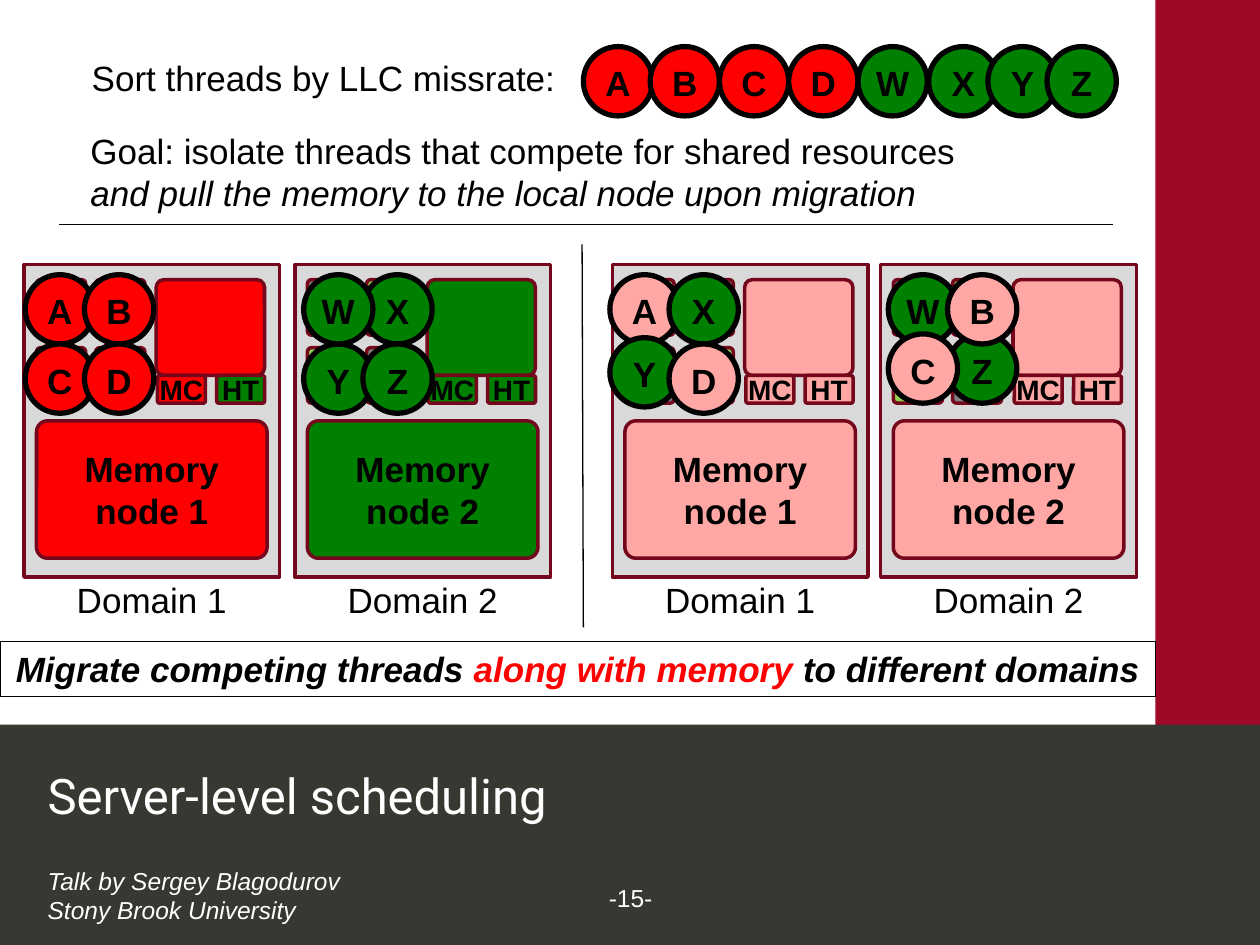
from lxml.etree import SubElement
from pptx import Presentation
from pptx.dml.color import RGBColor
from pptx.enum.shapes import MSO_CONNECTOR, MSO_SHAPE as Shape
from pptx.enum.text import MSO_ANCHOR as Anchor, PP_ALIGN as Align
from pptx.oxml.ns import qn
from pptx.util import Inches, Pt

COLORS = {
    "crimson": "9E0927", "slate": "363832", "maroon": "75071D", "panel": "D9D9D9",
    "red": "FF0000", "green": "008000", "pink": "FFA7A4", "lime": "92D050",
    "gray": "808080", "black": "000000", "white": "FFFFFF",
}
BODY = {"name": "Arial", "size": Pt(20), "color": "black"}
BOLD = {**BODY, "bold": True}
SMALL_BOLD = {**BOLD, "size": Pt(16)}
FOOTER = {"name": "Arial", "size": Pt(14), "color": "white"}
TITLE = {"name": "Roboto", "size": Pt(28), "color": "white"}
BANNER = {**BOLD, "italic": True}

SORTED_THREADS = [
    ("A", "red", 4.63), ("B", "red", 5.16), ("C", "red", 5.71), ("D", "red", 6.26),
    ("W", "green", 6.81), ("X", "green", 7.37), ("Y", "green", 7.84), ("Z", "green", 8.31),
]

# Threads are (letter, colour, column, top), listed from back to front.
DOMAINS = [
    {"number": 1, "left": 0.19, "memory": "red", "link": "green",
     "cores": ("lime", "gray"), "threads_left": 0.2,
     "threads": [("A", "red", 0, 2.18), ("B", "red", 1, 2.18),
                 ("C", "red", 0, 2.73), ("D", "red", 1, 2.73)]},
    {"number": 2, "left": 2.34, "memory": "green", "link": "green",
     "cores": ("gray", "lime"), "threads_left": 2.41,
     "threads": [("X", "green", 1, 2.18), ("Y", "green", 0, 2.73),
                 ("Z", "green", 1, 2.73), ("W", "green", 0, 2.18)]},
    {"number": 1, "left": 4.86, "memory": "pink", "link": "pink",
     "cores": ("lime", "gray"), "threads_left": 4.84,
     "threads": [("A", "pink", 0, 2.18), ("Y", "green", 0, 2.68),
                 ("X", "green", 1, 2.18), ("D", "pink", 1, 2.73)]},
    {"number": 2, "left": 6.99, "memory": "pink", "link": "pink",
     "cores": ("gray", "lime"), "threads_left": 7.05,
     "threads": [("W", "green", 0, 2.18), ("Z", "green", 1, 2.65),
                 ("B", "pink", 1, 2.18), ("C", "pink", 0, 2.65)]},
]
DOMAIN_TOP, DOMAIN_WIDTH, DOMAIN_HEIGHT = 2.1, 2.03, 2.48
COLUMN_STEP, CORE_ROW_STEP = 0.47, 0.54
THREAD_SIZE = 0.55

deck = Presentation()
deck.slide_width, deck.slide_height = Inches(10), Inches(7.5)
page = deck.slides.add_slide(deck.slide_layouts[6])


def rgb(color):
    return RGBColor.from_string(COLORS[color])


def write(box, paragraphs, align=Align.LEFT, anchor=Anchor.TOP, insets=(0.1, 0.05), wrap=True):
    """Fill a box with paragraphs, each a list of (text, format) spans."""
    frame = box.text_frame
    frame.word_wrap, frame.vertical_anchor = wrap, anchor
    frame.margin_left = frame.margin_right = Inches(insets[0])
    frame.margin_top = frame.margin_bottom = Inches(insets[1])
    for index, spans in enumerate(paragraphs):
        para = frame.add_paragraph() if index else frame.paragraphs[0]
        para.alignment = align
        for text, style in spans:
            span = para.add_run()
            span.text = text
            for key, value in style.items():
                if key == "color":
                    span.font.color.rgb = rgb(value)
                else:
                    setattr(span.font, key, value)


def add_text(at, paragraphs, **layout):
    write(page.shapes.add_textbox(*map(Inches, at)), paragraphs, **layout)


def add_box(kind, at, fill=None, line=None, weight=2):
    box = page.shapes.add_shape(kind, *map(Inches, at))
    box.shadow.inherit = False
    if fill:
        box.fill.solid()
        box.fill.fore_color.rgb = rgb(fill)
    else:
        box.fill.background()
    if line:
        box.line.color.rgb = rgb(line)
        box.line.width = Pt(weight)
    else:
        box.line.fill.background()
    return box


def add_unit(at, fill):
    """Add a rounded hardware block."""
    unit = add_box(Shape.ROUNDED_RECTANGLE, at, fill, "maroon")
    unit.adjustments[0] = 0.08
    return unit


def add_rule(ends, weight):
    rule = page.shapes.add_connector(MSO_CONNECTOR.STRAIGHT, *map(Inches, ends))
    rule.line.color.rgb = rgb("black")
    rule.line.width = Pt(weight)
    SubElement(rule._element.spPr, qn("a:effectLst"))


def add_thread(letter, color, left, top):
    thread = add_box(Shape.OVAL, (left, top, THREAD_SIZE, THREAD_SIZE), color, "black", 3)
    write(thread, [[(letter, BOLD)]], Align.CENTER, insets=(0.07, 0.04), wrap=False)


def add_domain(domain):
    left, memory = domain["left"], domain["memory"]
    add_box(Shape.RECTANGLE, (left, DOMAIN_TOP, DOMAIN_WIDTH, DOMAIN_HEIGHT), "panel", "maroon")
    node = add_unit((left + 0.1, 3.34, 1.83, 1.09), memory)
    write(node, [[("Memory", BOLD)], [(f"node {domain['number']}", BOLD)]],
          Align.CENTER, Anchor.MIDDLE)
    add_unit((left + 1.05, 2.22, 0.86, 0.76), memory)
    for column, (label, fill) in enumerate([("MC", memory), ("HT", domain["link"])]):
        port = add_unit((left + 1.06 + column * COLUMN_STEP, 2.98, 0.38, 0.22), fill)
        write(port, [[(label, SMALL_BOLD)]], Align.CENTER, Anchor.MIDDLE, (0, 0), wrap=False)
    for row in range(2):
        for column in range(2):
            add_unit((left + 0.1 + column * COLUMN_STEP, 2.22 + row * CORE_ROW_STEP, 0.39, 0.44),
                     domain["cores"][(row + column) % 2])
    add_text((left, 4.54, DOMAIN_WIDTH, 0.44),
             [[(f"Domain {domain['number']}", BODY)]], align=Align.CENTER)
    for letter, color, column, top in domain["threads"]:
        add_thread(letter, color, domain["threads_left"] + column * COLUMN_STEP, top)


add_box(Shape.RECTANGLE, (9.17, 0, 0.83, 7.5), "crimson")
add_box(Shape.RECTANGLE, (0, 5.75, 10, 1.75), "slate")

add_text((0.63, 0.4, 3.97, 0.44), [[("Sort threads by LLC missrate:", BODY)]])
for letter, color, left in SORTED_THREADS:
    add_thread(letter, color, left, 0.37)
add_text((0.62, 0.98, 7.66, 0.77), [
    [("Goal: isolate threads that compete for shared resources", BODY)],
    [("and pull the memory to the local node upon migration", {**BODY, "italic": True})],
])
add_rule((0.47, 1.78, 8.83, 1.78), 0.25)
add_rule((4.62, 1.94, 4.63, 4.98), 0.75)

for domain in DOMAINS:
    add_domain(domain)

banner = add_box(Shape.RECTANGLE, (0, 5.09, 9.17, 0.44), line="black", weight=0.75)
write(banner, [[("Migrate competing threads ", BANNER),
                ("along with memory", {**BANNER, "color": "red"}),
                (" to different domains", BANNER)]], Align.CENTER)

add_text((0.28, 5.8, 8.92, 1.01), [[("Server-level scheduling", TITLE)]], anchor=Anchor.MIDDLE)
add_text((0.28, 6.82, 4.56, 0.42),
         [[(line, {**FOOTER, "italic": True})]
          for line in ("Talk by Sergey Blagodurov", "Stony Brook University")])
add_text((4.69, 6.96, 0.63, 0.42), [[("-15-", FOOTER)]], align=Align.CENTER)

deck.save("out.pptx")
